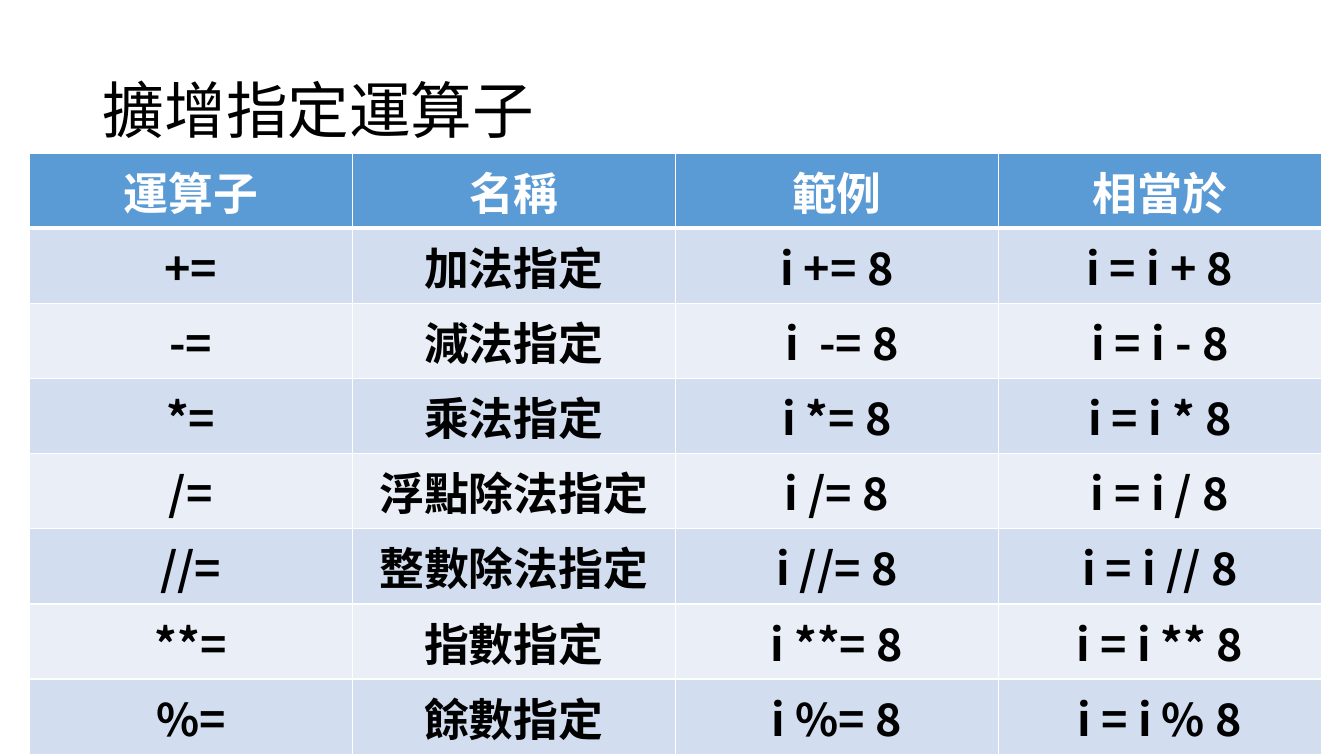
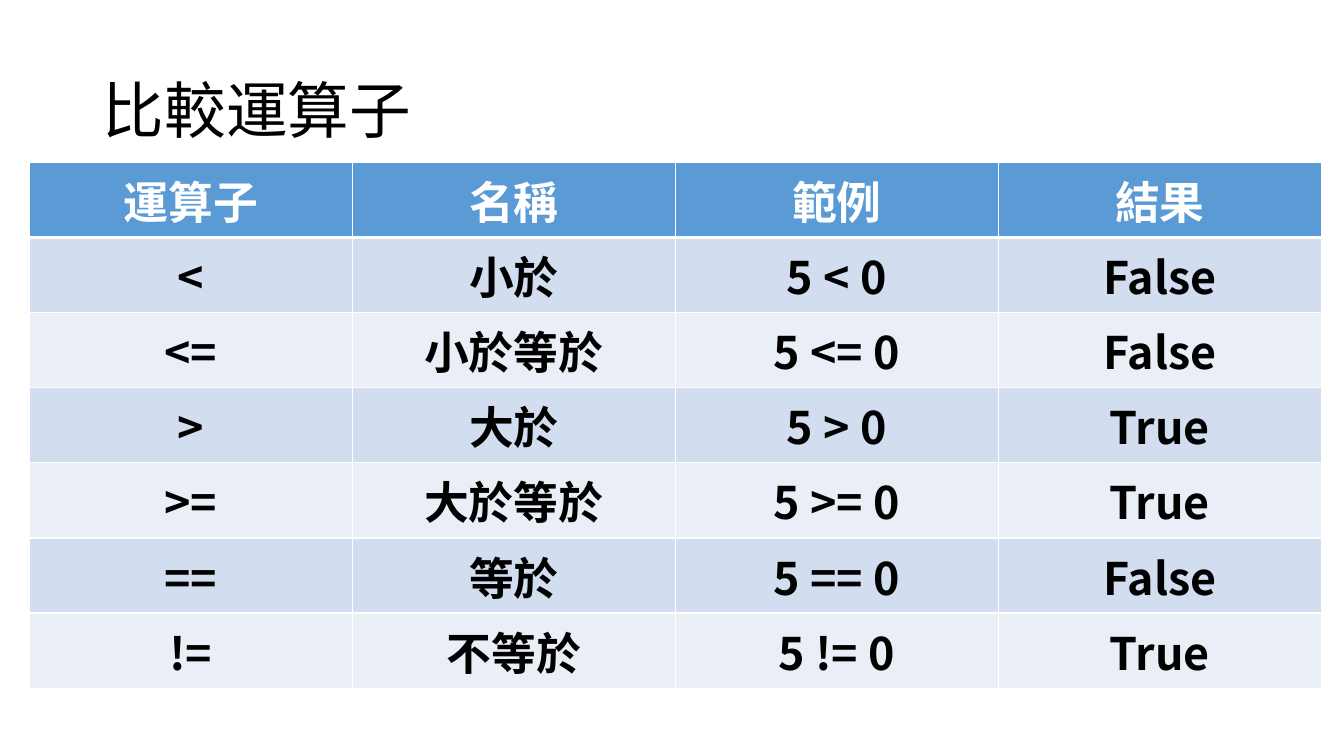
from lxml.etree import SubElement
from pptx import Presentation
from pptx.dml.color import RGBColor
from pptx.enum.text import MSO_ANCHOR as Anchor, PP_ALIGN as Align
from pptx.oxml.ns import qn
from pptx.util import Cm, Pt

# Content: title, table top (cm), header row, body rows
SLIDES = [
    ("擴增指定運算子", 3.86, ("運算子", "名稱", "範例", "相當於"), [
        ("+=", "加法指定", "i += 8", "i = i + 8"),
        ("-=", "減法指定", " i  -= 8", "i = i - 8"),
        ("*=", "乘法指定", "i *= 8", "i = i * 8"),
        ("/=", "浮點除法指定", "i /= 8", "i = i / 8"),
        ("//=", "整數除法指定", "i //= 8", "i = i // 8"),
        ("**=", "指數指定", "i **= 8", "i = i ** 8"),
        ("%=", "餘數指定", "i %= 8", "i = i % 8"),
    ]),
    ("比較運算子", 4.09, ("運算子", "名稱", "範例", "結果"), [
        ("<", "小於", "5 < 0", "False"),
        ("<=", "小於等於", "5 <= 0", "False"),
        (">", "大於", "5 > 0", "True"),
        (">=", "大於等於", "5 >= 0", "True"),
        ("==", "等於", "5 == 0", "False"),
        ("!=", "不等於", "5 != 0", "True"),
    ]),
]

# Shared style
FONT = "Noto Sans CJK TC"
BLACK, WHITE = "000000", "FFFFFF"
HEADER_FILL, BAND_FILLS = "5B9BD5", ("EAEFF7", "D2DEEF")
TABLE_LEFT, COLUMN_WIDTH, ROW_HEIGHT = 0.74, 8.14, 1.87
THIN, THICK = 1, 3
TITLE_ONLY = 5


def rgb(value):
    return RGBColor.from_string(value)


def style_text(paragraph, size, colour, bold, align):
    paragraph.alignment = align
    font = paragraph.font
    font.size, font.bold, font.name = Pt(size), bold, FONT
    font.color.rgb = rgb(colour)
    # East Asian characters take their own font entry
    defaults = paragraph._p.pPr.find(qn("a:defRPr"))
    SubElement(defaults, qn("a:ea"), typeface=FONT)


def add_borders(cell, top, bottom):
    properties = cell._tc.get_or_add_tcPr()
    for side, width in zip("LRTB", (THIN, THIN, top, bottom)):
        line = SubElement(properties, qn(f"a:ln{side}"), w=str(Pt(width)))
        fill = SubElement(line, qn("a:solidFill"))
        SubElement(fill, qn("a:srgbClr"), val=WHITE)


def add_title(slide, text):
    title = slide.shapes.title
    title.left, title.top = Cm(2.34), Cm(1.02)
    title.width, title.height = Cm(29.21), Cm(3.68)
    frame = title.text_frame
    frame.text = text
    frame.vertical_anchor = Anchor.MIDDLE
    frame.paragraphs[0].line_spacing = 0.9
    style_text(frame.paragraphs[0], 44, BLACK, False, Align.LEFT)


def add_operator_table(slide, top, rows):
    columns = len(rows[0])
    table = slide.shapes.add_table(
        len(rows), columns, Cm(TABLE_LEFT), Cm(top),
        Cm(COLUMN_WIDTH * columns), Cm(ROW_HEIGHT * len(rows))).table
    for column in table.columns:
        column.width = Cm(COLUMN_WIDTH)
    for r, row in enumerate(rows):
        table.rows[r].height = Cm(ROW_HEIGHT)
        is_header = r == 0
        for c, text in enumerate(row):
            cell = table.cell(r, c)
            cell.text = text
            cell.vertical_anchor = Anchor.MIDDLE
            style_text(cell.text_frame.paragraphs[0], 32,
                       WHITE if is_header else BLACK, True, Align.CENTER)
            # The thick rule separates the header from the body
            add_borders(cell, THICK if r == 1 else THIN,
                        THICK if is_header else THIN)
            cell.fill.solid()
            cell.fill.fore_color.rgb = rgb(
                HEADER_FILL if is_header else BAND_FILLS[r % 2])


# Build the slides
deck = Presentation()
deck.slide_width, deck.slide_height = Cm(33.87), Cm(19.05)
for heading, table_top, header, operators in SLIDES:
    slide = deck.slides.add_slide(deck.slide_layouts[TITLE_ONLY])
    add_title(slide, heading)
    add_operator_table(slide, table_top, [header, *operators])
deck.save("out.pptx")
